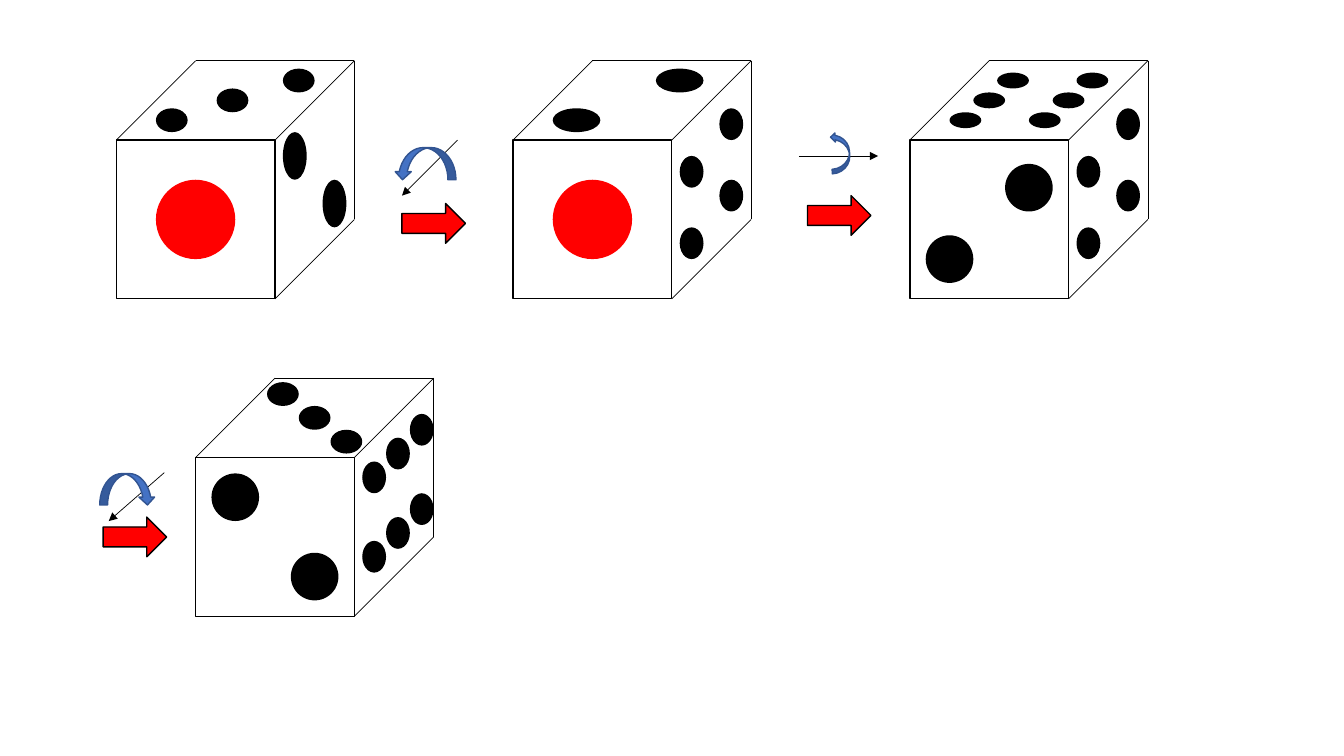
import pptx
import pptx.util
import pptx.dml.color
import pptx.enum.shapes
import pptx.oxml.ns
from lxml import etree

Cm, Pt = pptx.util.Cm, pptx.util.Pt
SHAPE = pptx.enum.shapes.MSO_SHAPE
COLORS = {"black": "000000", "red": "FF0000", "blue": "4472C4", "navy": "325491"}

# Content, all lengths in cm
EDGE, DEPTH = 4, 2  # front face side, offset of the back face

# Pip groups: colour, width, height, centres from the front face's top left
RED_ONE = ("red", 2, 2, [(2, 2)])
RIGHT_FOUR = ("black", 0.6, 0.8, [(4.5, 0.8), (4.5, 2.6), (5.5, -0.4), (5.5, 1.4)])

# Dice: left and top of the front face, pip groups
DICE = [
    (2.93, 3.53, [
        RED_ONE,
        ("black", 0.8, 0.6, [(1.4, -0.5), (2.93, -1), (4.6, -1.5)]),
        ("black", 0.6, 1.2, [(4.5, 0.4), (5.5, 1.6)]),
    ]),
    (12.93, 3.53, [
        RED_ONE,
        ("black", 1.2, 0.6, [(1.6, -0.5), (4.2, -1.5)]),
        RIGHT_FOUR,
    ]),
    (22.93, 3.53, [
        ("black", 1.2, 1.2, [(1, 3), (3, 1.2)]),
        ("black", 0.8, 0.4, [(x + 0.6 * i, -0.5 - 0.5 * i)
                             for x in (1.4, 3.4) for i in range(3)]),
        RIGHT_FOUR,
    ]),
    (4.93, 11.53, [
        ("black", 1.2, 1.2, [(1, 1), (3, 3)]),
        ("black", 0.8, 0.6, [(2.2 + 0.8 * i, -1.6 + 0.6 * i) for i in range(3)]),
        ("black", 0.6, 0.8, [(4.5 + 0.6 * i, y - 0.6 * i)
                             for y in (0.5, 2.5) for i in range(3)]),
    ]),
]

# Turns: block arrow corner, axis ends, curved arrow box, its rotation and flip
TURNS = [
    {"arrow": (10.13, 5.13), "axis": (11.53, 3.53, 10.13, 4.93),
     "curve": (10.31, 3.35, 0.81, 1.55), "rotation": 90, "flip": False},
    {"arrow": (20.35, 4.93), "axis": (20.13, 3.93, 22.13, 3.93),
     "curve": (20.95, 3.33, 0.46, 1.04), "rotation": 177.2, "flip": False},
    {"arrow": (2.6, 13.03), "axis": (4.14, 11.91, 2.74, 13.13),
     "curve": (2.82, 11.63, 0.79, 1.4), "rotation": 90, "flip": True},
]


def rgb(name):
    return pptx.dml.color.RGBColor.from_string(COLORS[name])


def add_shape(s, kind, box, fill=None, line=None):
    sp = s.shapes.add_shape(kind, *[Cm(v) for v in box])
    sp.shadow.inherit = False
    if fill:
        sp.fill.solid()
        sp.fill.fore_color.rgb = rgb(fill)
    else:
        sp.fill.background()
    if line:
        sp.line.color.rgb = rgb(line)
        sp.line.width = Pt(1)
    else:
        sp.line.fill.background()
    return sp


def add_line(s, ends, arrow=False):
    c = s.shapes.add_connector(pptx.enum.shapes.MSO_CONNECTOR.STRAIGHT,
                               *[Cm(v) for v in ends])
    c.line.color.rgb = rgb("black")
    c.line.width = Pt(0.5)
    qn = pptx.oxml.ns.qn
    if arrow:
        etree.SubElement(c.line._get_or_add_ln(), qn("a:tailEnd"), type="triangle")
    etree.SubElement(c._element.spPr, qn("a:effectLst"))


def add_die(s, left, top, pips):
    add_shape(s, SHAPE.RECTANGLE, (left, top, EDGE, EDGE), line="black")
    right, bottom = left + EDGE, top + EDGE
    back_left, back_right, back_top = left + DEPTH, right + DEPTH, top - DEPTH
    back_bottom = bottom - DEPTH
    for ends in [
        (back_right, back_top, back_right, back_bottom),
        (back_right, back_top, back_left, back_top),
        (back_left, back_top, left, top),
        (back_right, back_top, right, top),
        (back_right, back_bottom, right, bottom),
    ]:
        add_line(s, ends)
    for color, w, h, centres in pips:
        for x, y in centres:
            add_shape(s, SHAPE.OVAL, (left + x - w / 2, top + y - h / 2, w, h), fill=color)


def add_turn(s, turn):
    add_line(s, turn["axis"], arrow=True)
    sp = add_shape(s, SHAPE.CURVED_RIGHT_ARROW, turn["curve"], fill="blue", line="navy")
    sp.rotation = turn["rotation"]
    if turn["flip"]:
        sp._element.spPr.xfrm.set("flipV", "1")
    add_shape(s, SHAPE.RIGHT_ARROW, (*turn["arrow"], 1.6, 1), fill="red", line="black")


def main():
    prs = pptx.Presentation()
    prs.slide_width, prs.slide_height = Cm(33.87), Cm(19.05)
    s = prs.slides.add_slide(prs.slide_layouts[6])
    for die in DICE:
        add_die(s, *die)
    for turn in TURNS:
        add_turn(s, turn)
    prs.save("out.pptx")


if __name__ == "__main__":
    main()
